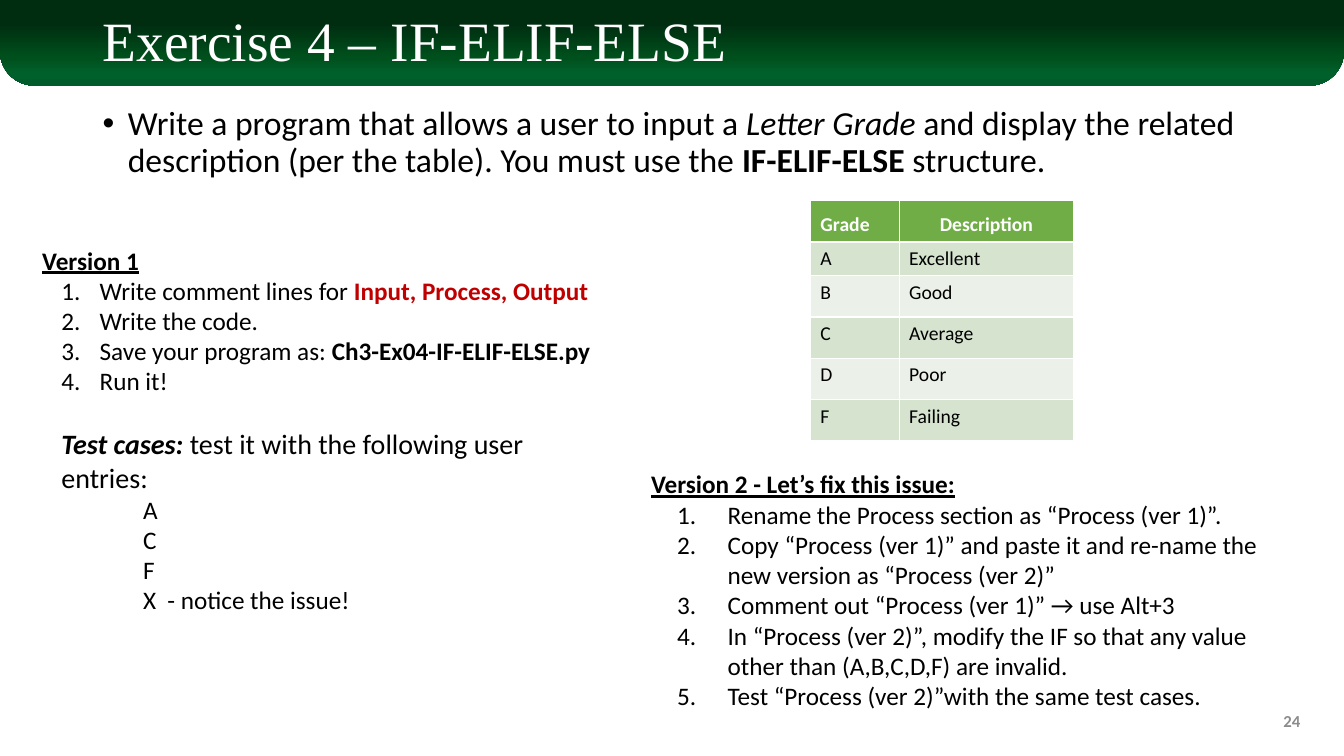
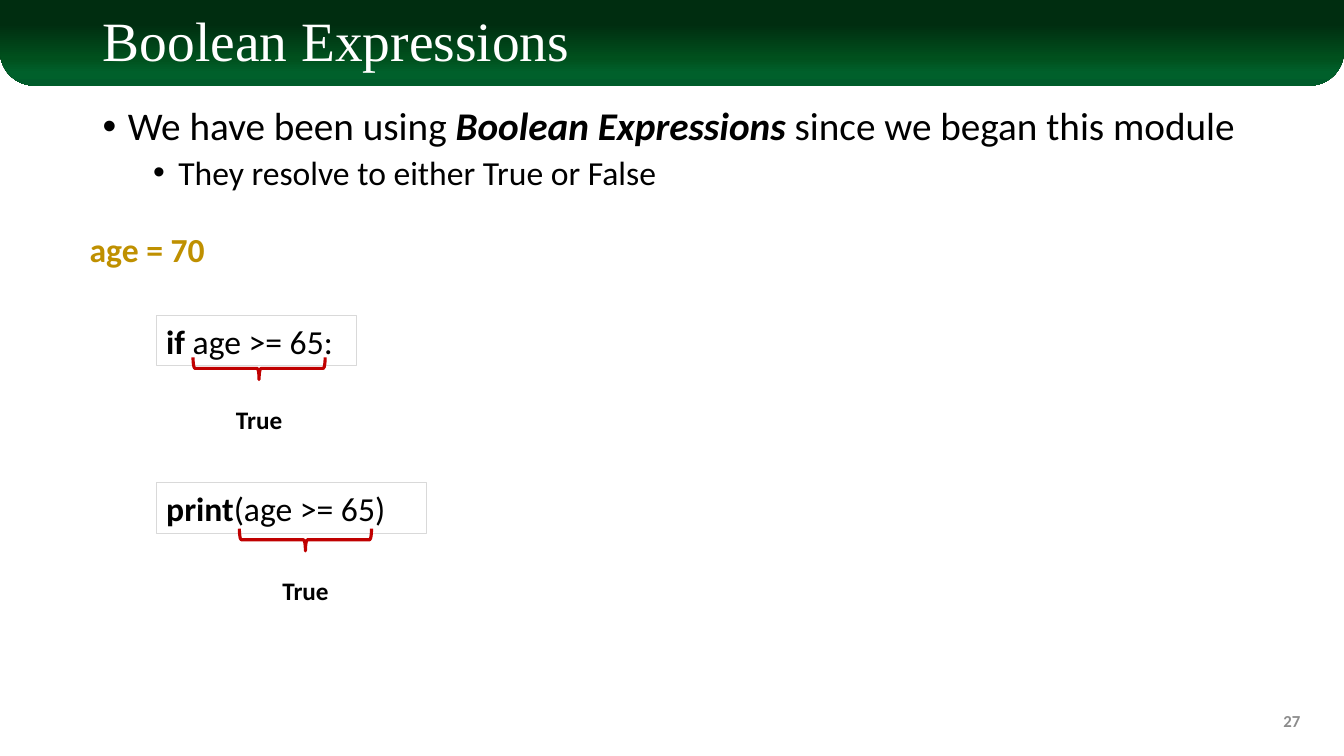
import dataclasses

import lxml.etree
import pptx
import pptx.dml.color
import pptx.enum.shapes
import pptx.enum.text
import pptx.oxml
import pptx.oxml.ns
import pptx.util

RGBColor = pptx.dml.color.RGBColor
BLACK = RGBColor(0x00, 0x00, 0x00)
WHITE = RGBColor(0xFF, 0xFF, 0xFF)
RED = RGBColor(0xC0, 0x00, 0x00)
GOLD = RGBColor(0xBF, 0x90, 0x00)
PAGE_GREY = RGBColor(0x8C, 0x8C, 0x8C)
BOX_GREY = RGBColor(0xD9, 0xD9, 0xD9)
HEADER_GREEN = RGBColor(0x70, 0xAD, 0x47)
ROW_GREENS = (RGBColor(0xD5, 0xE3, 0xCF), RGBColor(0xEB, 0xF1, 0xE9))
BAND_STOPS = ((28, "002D10"), (68, "00501D"), (85, "00602B"), (100, "005C2B"))

ALIGN = pptx.enum.text.PP_ALIGN
ANCHOR = pptx.enum.text.MSO_ANCHOR
SHAPE = pptx.enum.shapes.MSO_SHAPE

deck = pptx.Presentation()
deck.slide_width = pptx.util.Inches(13.33)
deck.slide_height = pptx.util.Inches(7.5)
COL = deck.slide_width / 100
ROW = deck.slide_height / 100


@dataclasses.dataclass
class Line:
    """One paragraph; runs are (text, marks), marks being b, i, u or r for red."""
    runs: list
    size: float = 18
    color: RGBColor = BLACK
    indent: float = 0
    hanging: float = 0
    bullet: str = ""
    before: float = 0
    spacing: float = 1.0
    align: ALIGN = ALIGN.LEFT
    font: str = "Calibri"


def area(left, top, width, height):
    """Turn columns and rows of the 100 x 100 grid into slide lengths."""
    return [round(n * unit) for n, unit in zip((left, top, width, height), (COL, ROW) * 2)]


def write(frame, lines, anchor=ANCHOR.TOP, wrap=True):
    frame.word_wrap = wrap
    frame.vertical_anchor = anchor
    for index, line in enumerate(lines):
        paragraph = frame.add_paragraph() if index else frame.paragraphs[0]
        paragraph.alignment = line.align
        paragraph.line_spacing = line.spacing
        paragraph.space_before = pptx.util.Pt(line.before)
        properties = paragraph._p.get_or_add_pPr()
        properties.set("marL", str(pptx.util.Inches(line.indent)))
        properties.set("indent", str(pptx.util.Inches(-line.hanging)))
        if line.bullet == "•":
            lxml.etree.SubElement(properties, pptx.oxml.ns.qn("a:buFont"), typeface="Arial")
            lxml.etree.SubElement(properties, pptx.oxml.ns.qn("a:buChar"), char="•")
        elif line.bullet:
            lxml.etree.SubElement(properties, pptx.oxml.ns.qn("a:buAutoNum"), type=line.bullet)
        paragraph.font.name = line.font
        paragraph.font.size = pptx.util.Pt(line.size)
        paragraph.font.color.rgb = line.color
        for text, marks in line.runs:
            run = paragraph.add_run()
            run.text = text
            run.font.bold = "b" in marks
            run.font.italic = "i" in marks
            run.font.underline = "u" in marks
            if "r" in marks:
                run.font.color.rgb = RED


# Shared parts: band, title, introduction and page number
layout = deck.slide_layouts.get_by_name("Title Only")
slides = []
for title, page, introduction in (
    ("Exercise 4 – IF-ELIF-ELSE", "24", [
        Line([("Write a program that allows a user to input a ", ""), ("Letter Grade ", "i"),
              ("and display the related description (per the table). You must use the ", ""),
              ("IF-ELIF-ELSE", "b"), (" structure.", "")],
             24, indent=0.25, hanging=0.25, bullet="•", before=10, spacing=0.9)]),
    ("Boolean Expressions", "27", [
        Line([("We have been using ", ""), ("Boolean Expressions ", "bi"),
              ("since we began this module", "")],
             28, indent=0.25, hanging=0.25, bullet="•", before=10, spacing=0.9),
        Line([("They resolve to either True or False", "")],
             24, indent=0.75, hanging=0.25, bullet="•", before=5, spacing=0.9)]),
):
    slide = deck.slides.add_slide(layout)
    slides.append(slide)
    heading = slide.shapes.title
    heading.left, heading.top, heading.width, heading.height = area(6.9, 1.73, 86.25, 8.13)
    heading.text_frame.auto_size = pptx.enum.text.MSO_AUTO_SIZE.NONE
    write(heading.text_frame,
          [Line([(title, "")], 39.6, WHITE, spacing=0.9, font="Times New Roman")], ANCHOR.MIDDLE)
    body = slide.shapes.add_textbox(*area(6.9, 13.47, 86.25, 17.33))
    write(body.text_frame, introduction)
    number = slide.shapes.add_textbox(*area(75, 92.67, 22.5, 5.33))
    write(number.text_frame, [Line([(page, "b")], 12, PAGE_GREY, align=ALIGN.RIGHT)], ANCHOR.MIDDLE)

exercise, booleans = slides

# The band is drawn once and moved to the layout, behind its placeholders
band = exercise.shapes.add_shape(SHAPE.ROUND_2_SAME_RECTANGLE, *area(0, 0, 100, 11.33))
band.adjustments[0], band.adjustments[1] = 0, 0.4
band.shadow.inherit = False
band.line.fill.background()
band.fill.gradient()
band.fill.gradient_angle = 270
stops = band.element.spPr.find(".//" + pptx.oxml.ns.qn("a:gsLst"))
for stop in list(stops):
    stops.remove(stop)
for position, shade in BAND_STOPS:
    stop = lxml.etree.SubElement(stops, pptx.oxml.ns.qn("a:gs"), pos=str(position * 1000))
    lxml.etree.SubElement(stop, pptx.oxml.ns.qn("a:srgbClr"), val=shade)
layout.shapes.element.insert(2, band.element)

# Exercise: grade table
grades = [("Grade", "Description"), ("A", "Excellent"), ("B", "Good"),
          ("C", "Average"), ("D", "Poor"), ("F", "Failing")]
table = exercise.shapes.add_table(len(grades), 2, *area(60.3, 26.53, 19.6, 31.47)).table
for column, width in zip(table.columns, (6.6, 13)):
    column.width = round(width * COL)
for r, entries in enumerate(grades):
    table.rows[r].height = round((3.33 if r == 1 else 5.47) * ROW)
    for c, entry in enumerate(entries):
        cell = table.cell(r, c)
        cell.fill.solid()
        cell.fill.fore_color.rgb = ROW_GREENS[(r - 1) % 2] if r else HEADER_GREEN
        align = ALIGN.CENTER if r == 0 and c == 1 else ALIGN.LEFT
        write(cell.text_frame, [Line([(entry, "" if r else "b")], 14, BLACK if r else WHITE, align=align)])
        cell.vertical_anchor = ANCHOR.TOP if r else ANCHOR.BOTTOM

# Exercise: the two versions
first_steps = [
    [("Write comment lines for", ""), (" Input, Process, Output", "br")],
    [("Write the code.", "")],
    [("Save your program as: ", ""), ("Ch3-Ex04-IF-ELIF-ELSE.py", "b")],
    [("Run it!", "")],
]
version_1 = exercise.shapes.add_textbox(*area(2.4, 31.73, 42.68, 54.27))
write(version_1.text_frame, [
    Line([("Version 1", "bu")]),
    *[Line(step, indent=0.57, hanging=0.38, bullet="arabicPeriod") for step in first_steps],
    Line([("Test cases: ", "bi"), ("test it with the following user entries:", "")],
         20, indent=0.19, before=22),
    *[Line([(case, "")], indent=1) for case in ("A", "C", "F", "X  - notice the issue!")],
])

second_steps = [
    "Rename the Process section as “Process (ver 1)”.",
    "Copy “Process (ver 1)” and paste it and re-name the new version as “Process (ver 2)”",
    "Comment out “Process (ver 1)” → use Alt+3",
    "In “Process (ver 2)”, modify the IF so that any value other than (A,B,C,D,F) are invalid.",
    "Test “Process (ver 2)”with the same test cases.",
]
version_2 = exercise.shapes.add_textbox(*area(47.7, 61.33, 50, 33.6))
write(version_2.text_frame, [
    Line([("Version 2 - Let’s fix this issue:", "bu")]),
    *[Line([(step, "")], indent=0.76, hanging=0.5, bullet="arabicPeriod") for step in second_steps],
])

# Booleans: the variable and two statements with their braced expressions
variable = booleans.shapes.add_textbox(*area(5.93, 29.6, 10.1, 6.67))
write(variable.text_frame, [Line([("age = 70", "b")], 24, GOLD)], wrap=False)

BRACE_DEPTH, BRACE_SPAN = 1.65, 17.47
for keyword, expression, top, width, center_x, center_y in (
    ("if", " age >= 65:", 41.73, 14.93, 19.28, 48.73),
    ("print", "(age >= 65)", 63.87, 20.1, 22.73, 71.4),
):
    parts = booleans.shapes.add_group_shape().shapes
    statement = parts.add_shape(SHAPE.RECTANGLE, *area(11.63, top, width, 6.67))
    statement.shadow.inherit = False
    statement.fill.background()
    statement.line.color.rgb = BOX_GREY
    statement.line.width = pptx.util.Pt(0.75)
    write(statement.text_frame, [Line([(keyword, "b"), (expression, "")], 24)])
    brace = parts.add_shape(SHAPE.LEFT_BRACE, *area(
        center_x - BRACE_DEPTH / 2, center_y - BRACE_SPAN / 2, BRACE_DEPTH, BRACE_SPAN))
    brace.rotation = 270
    brace.shadow.inherit = False
    brace.fill.background()
    brace.line.color.rgb = RED
    brace.line.width = pptx.util.Pt(2.25)
    result = parts.add_textbox(*area(center_x - 2.5, center_y + 4.07, 5, 5.33))
    write(result.text_frame, [Line([("True", "b")], align=ALIGN.CENTER)], wrap=False)

deck.save("out.pptx")
